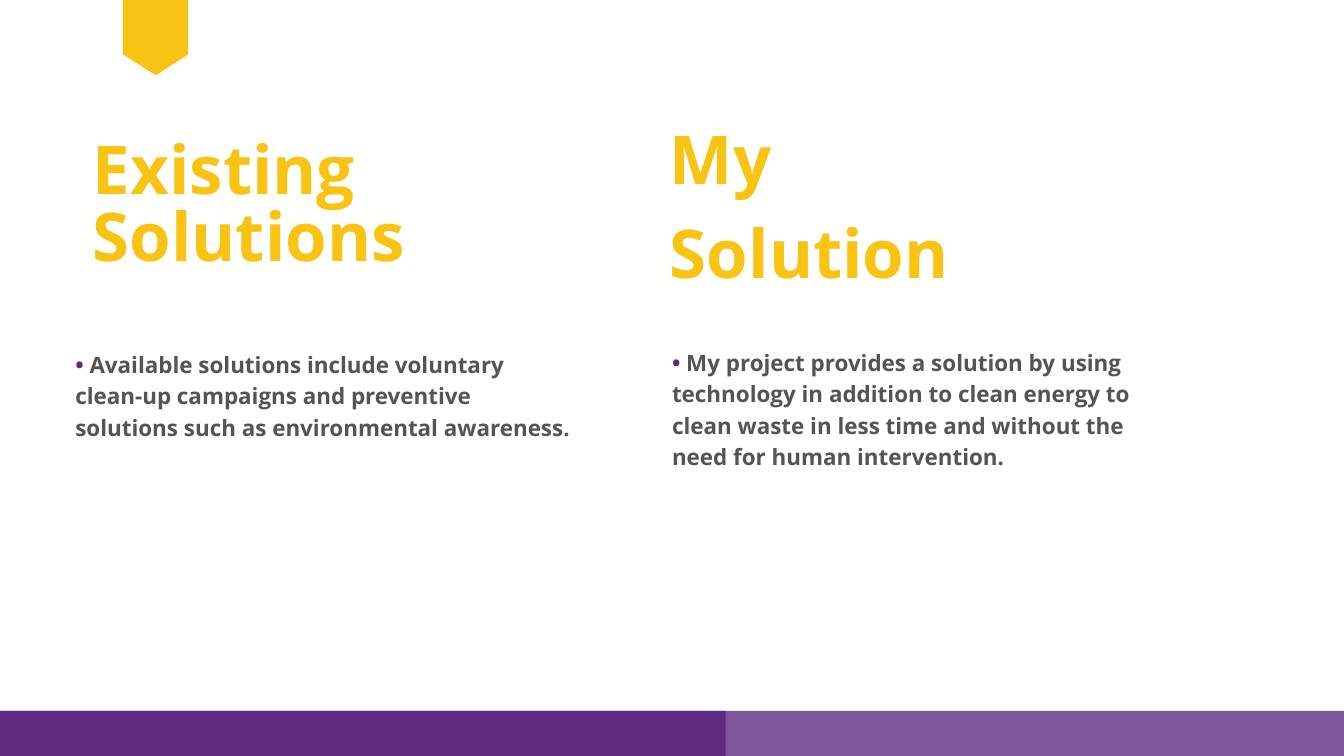
from lxml import etree
from pptx import Presentation
from pptx.dml.color import RGBColor
from pptx.enum.shapes import MSO_SHAPE
from pptx.enum.text import MSO_AUTO_SIZE
from pptx.oxml.ns import qn
from pptx.util import Inches, Pt

RECTANGLE = MSO_SHAPE.RECTANGLE
FIT_SHAPE = MSO_AUTO_SIZE.SHAPE_TO_FIT_TEXT
FONT = "Open Sans"
COLORS = {"yellow": "F9C314", "purple": "5E2B7F", "grey": "545454"}
SLIDE_W, SLIDE_H = 20, 11.25

# Content: boxes are left, top, width, height in inches
HEADINGS = [
    {"box": (1.38, 2.09, 5.08, 2.05), "spacing": 72, "lines": ["Existing Solutions"]},
    {"box": (9.97, 1.55, 5.75, 2.83), "spacing": 100.8, "lines": ["My", "Solution"]},
]
POINTS = [
    {"box": (1.12, 5.16, 7.42, 1.43),
     "text": "Available solutions include voluntary clean-up campaigns and "
             "preventive solutions such as environmental awareness."},
    {"box": (10, 5.13, 7.62, 1.88),
     "text": "My project provides a solution by using technology in addition to "
             "clean energy to clean waste in less time and without the need for "
             "human intervention."},
]
RIBBON = [(1.83, -0.05), (1.83, 0.81), (2.32, 1.12), (2.8, 0.81), (2.8, -0.05)]
FOOTER_H = 0.67
FOOTER_BARS = [(SLIDE_W, 80), (10.8, 100)]  # width, opacity in percent


def paint(shape, color, opacity=100):
    shape.shadow.inherit = False
    shape.fill.solid()
    shape.fill.fore_color.rgb = RGBColor.from_string(COLORS[color])
    shape.line.fill.background()
    if opacity < 100:
        tint = shape.fill._xPr.find(qn("a:solidFill"))[0]
        etree.SubElement(tint, qn("a:alpha"), val=str(opacity * 1000))


def add_text(slide, box, lines, size, spacing):
    """Each line is a list of (text, color) runs."""
    frame = slide.shapes.add_textbox(*map(Inches, box)).text_frame
    frame.word_wrap = True
    frame.auto_size = FIT_SHAPE
    frame.margin_left = frame.margin_right = 0
    frame.margin_top = frame.margin_bottom = 0
    for i, line in enumerate(lines):
        paragraph = frame.add_paragraph() if i else frame.paragraphs[0]
        paragraph.line_spacing = Pt(spacing)
        for text, color in line:
            run = paragraph.add_run()
            run.text = text
            run.font.name = FONT
            run.font.size = Pt(size)
            run.font.bold = True
            run.font.color.rgb = RGBColor.from_string(COLORS[color])


def main():
    prs = Presentation()
    prs.slide_width, prs.slide_height = Inches(SLIDE_W), Inches(SLIDE_H)
    slide = prs.slides.add_slide(prs.slide_layouts[6])

    # Ribbon at the top edge
    corners = [(Inches(x), Inches(y)) for x, y in RIBBON]
    builder = slide.shapes.build_freeform(*corners[0])
    builder.add_line_segments(corners[1:], close=True)
    paint(builder.convert_to_shape(), "yellow")

    # Footer bars
    for width, opacity in FOOTER_BARS:
        bar = slide.shapes.add_shape(RECTANGLE, 0, Inches(SLIDE_H - FOOTER_H),
                                     Inches(width), Inches(FOOTER_H))
        paint(bar, "purple", opacity)

    # Headings and their points
    for heading in HEADINGS:
        lines = [[(line, "yellow")] for line in heading["lines"]]
        add_text(slide, heading["box"], lines, 72, heading["spacing"])
    for point in POINTS:
        line = [("• ", "purple"), (point["text"], "grey")]
        add_text(slide, point["box"], [line], 24, 33.6)

    prs.save("out.pptx")


if __name__ == "__main__":
    main()
